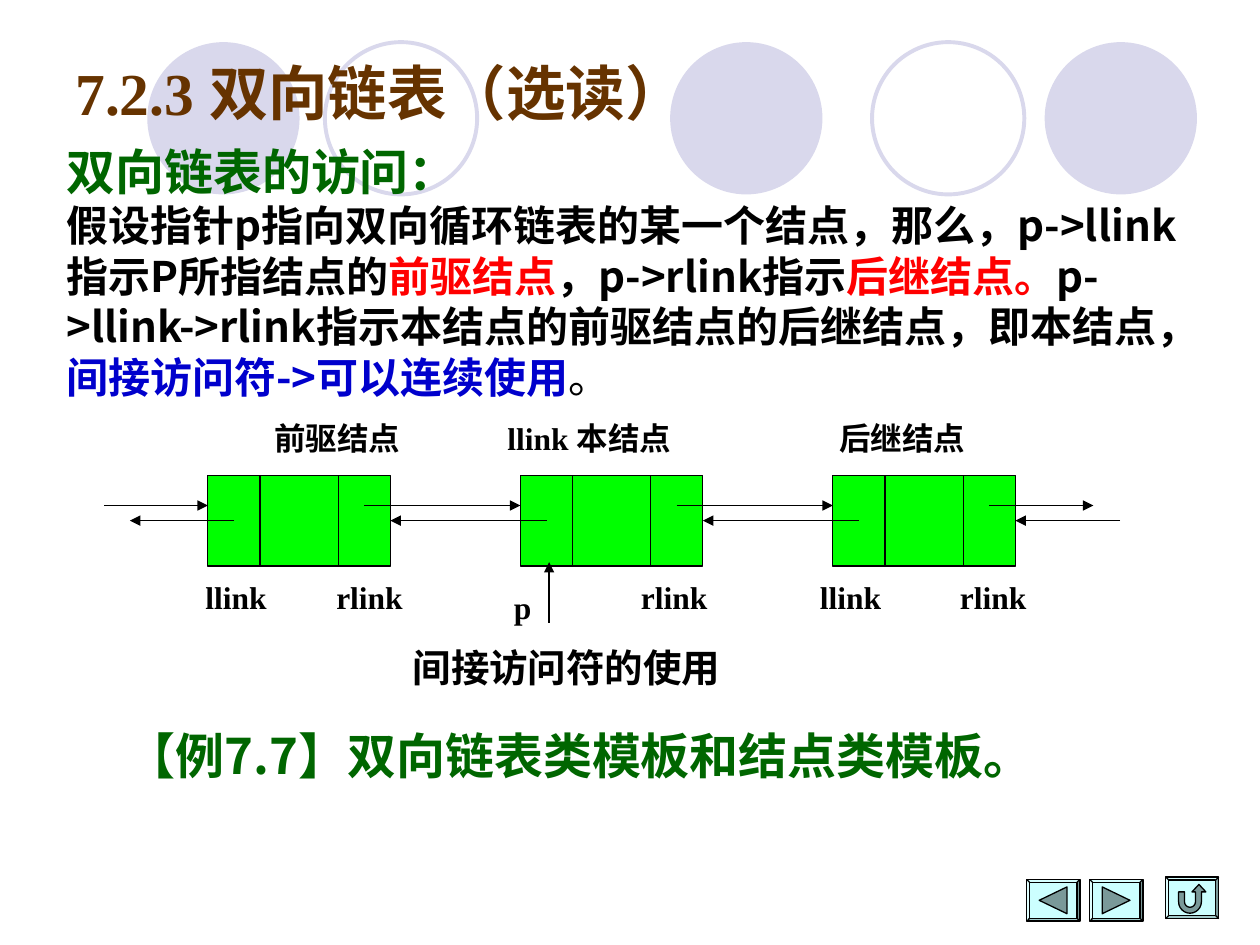
import math
from lxml import etree
from pptx import Presentation, util as u
from pptx.dml.color import RGBColor
from pptx.enum import shapes, text
from pptx.oxml.ns import qn

C = dict(lilac="D9D8EC", brown="663300", green="006600", black="000000", red="FF0000",
         blue="0000CC", node="00FF00", button="CCFFFF", icon="7A9999")
SERIF, SANS, CJK = "Times New Roman", "Arial", "Noto Sans CJK SC"

CIRCLES = [(2.97, True), (6.55, False), (13.51, True), (17.58, False), (21.06, True)]
BODY = [
    [("双向链表的访问：", dict(size=28, font=SANS, color="green"))],
    [("假设指针p指向双向循环链表的某一个结点，那么，p->llink指示P所指结点的", {}),
     ("前驱结点", dict(color="red")),
     ("，p->rlink指示", {}),
     ("后继结点。", dict(color="red")),
     ("p->llink->rlink指示本结点的前驱结点的后继结点，即本结点，", {}),
     ("间接访问符->可以连续使用", dict(color="blue")),
     ("。", dict(font=SANS, bold=False))],
]
LABELS = [
    ("前驱结点", 5.28, 8.32, 3.4), ("llink 本结点", 9.98, 8.32, 4.4), ("后继结点", 16.67, 8.32, 3.4),
    ("llink", 3.89, 11.53, 2.1), ("rlink", 6.53, 11.53, 2.1), ("p", 10.11, 11.73, 0.9),
    ("rlink", 12.67, 11.53, 2.1), ("llink", 16.28, 11.53, 2.1), ("rlink", 19.1, 11.53, 2.1),
]
NODE_X, NODE_Y, NODE_W, NODE_H, PITCH = 4.19, 9.58, 3.68, 1.83, 6.3
DIVIDERS = (1.05, 2.63)
NEXT_Y, NEXT_LINKS = 10.19, [(2.1, 4.19), (7.34, 10.49), (13.64, 16.79), (19.94, 22.04)]
PRIOR_STARTS, PRIOR_END = (11.02, 17.32, 22.58), (4.72, 2.62)
BUTTON_W, BUTTON_H = 1.07, 0.84
BUTTONS = [("back", 20.7, 17.73), ("forward", 21.97, 17.73), ("return", 23.5, 17.68)]

prs = Presentation()
prs.slide_width, prs.slide_height = u.Cm(25.4), u.Cm(19.05)
s = prs.slides.add_slide(prs.slide_layouts[6])


def rgb(name):
    return RGBColor.from_string(C[name])


def paint(sp, fill=None, line=None, width=0.75):
    sp.shadow.inherit = False
    if fill:
        sp.fill.solid()
        sp.fill.fore_color.rgb = rgb(fill)
    else:
        sp.fill.background()
    if line:
        sp.line.color.rgb = rgb(line)
        sp.line.width = u.Pt(width)
    else:
        sp.line.fill.background()
    return sp


def shape(kind, x, y, w, h, **look):
    return paint(s.shapes.add_shape(kind, u.Cm(x), u.Cm(y), u.Cm(w), u.Cm(h)), **look)


def write(content, x, y, w, h, size=18, font=SERIF, color="black", bold=True, middle=False, wrap=True):
    tf = s.shapes.add_textbox(u.Cm(x), u.Cm(y), u.Cm(w), u.Cm(h)).text_frame
    tf.word_wrap = wrap
    tf.vertical_anchor = text.MSO_ANCHOR.MIDDLE if middle else text.MSO_ANCHOR.TOP
    base = dict(size=size, font=font, color=color, bold=bold)
    paragraphs = [[(content, {})]] if isinstance(content, str) else content
    for i, runs in enumerate(paragraphs):
        p = tf.paragraphs[0] if i == 0 else tf.add_paragraph()
        p._p.get_or_add_pPr().set("hangingPunct", "0")
        for words, own in runs:
            r, f = p.add_run(), {**base, **own}
            r.text = words
            r.font.size, r.font.name, r.font.bold = u.Pt(f["size"]), f["font"], f["bold"]
            r.font.color.rgb = rgb(f["color"])


def line(x1, y1, x2, y2, arrow=True, target=None):
    c = s.shapes.add_connector(shapes.MSO_CONNECTOR.STRAIGHT, u.Cm(x1), u.Cm(y1), u.Cm(x2), u.Cm(y2))
    c.line.color.rgb, c.line.width = rgb("black"), u.Pt(0.75)
    if arrow:
        etree.SubElement(c.line._get_or_add_ln(), qn("a:tailEnd"), type="triangle")
    etree.SubElement(c._element.spPr, qn("a:effectLst"))
    if target is not None:
        c.end_connect(target, 3)


def outline(points):
    corners = [(u.Cm(x), u.Cm(y)) for x, y in points]
    fb = s.shapes.build_freeform(*corners[0])
    fb.add_line_segments(corners[1:], close=True)
    paint(fb.convert_to_shape(), fill="icon", line="black")


def arc(radius, start, end):
    turns = [math.radians(start + (end - start) * i / 12) for i in range(13)]
    return [(radius * math.cos(t), radius * math.sin(t)) for t in turns]


def icon(kind, x, y):
    if kind == "return":
        head = [(0.23, -0.2), (0.32, -0.2), (0.18, -0.35), (0.04, -0.2), (0.11, -0.2)]
        turn = [(-0.23, -0.2)] + arc(0.23, 180, 0) + head + arc(0.11, 0, 180) + [(-0.11, -0.2)]
        outline([(x + 0.49 + a, y + 0.5 + b) for a, b in turn])
    else:
        base, tip = (0.81, 0.25) if kind == "back" else (0.25, 0.81)
        outline([(x + base, y + 0.15), (x + tip, y + 0.42), (x + base, y + 0.69)])


for x, filled in CIRCLES:
    look = dict(fill="lilac") if filled else dict(line="lilac", width=2.25)
    shape(shapes.MSO_SHAPE.OVAL, x, 0.85, 3.07, 3.07, **look)

write("7.2.3 双向链表（选读）", 1.27, 0.76, 14.02, 2.16, size=34, color="brown", middle=True)
write(BODY, 1.09, 2.72, 23.39, 5.51, size=24, font=CJK)

nodes = [shape(shapes.MSO_SHAPE.RECTANGLE, NODE_X + i * PITCH, NODE_Y, NODE_W, NODE_H,
               fill="node", line="black") for i in range(3)]
for i in range(3):
    for d in DIVIDERS:
        x = NODE_X + i * PITCH + d
        line(x, NODE_Y, x, NODE_Y + NODE_H, arrow=False)
for start, end in NEXT_LINKS:
    line(start, NEXT_Y, end, NEXT_Y)
middle_y = NODE_Y + NODE_H / 2
line(PRIOR_END[0], middle_y, PRIOR_END[1], middle_y)
for node, start in zip(nodes, PRIOR_STARTS):
    line(start, middle_y, start - 3, middle_y, target=node)
line(11.07, 12.55, 11.07, 11.33)

for words, x, y, w in LABELS:
    write(words, x, y, w, 1)
write("间接访问符的使用", 8.07, 12.85, 6.7, 1.19, size=22, font=SANS, wrap=False)
write("【例7.7】双向链表类模板和结点类模板。", 2.31, 14.5, 19.53, 1.45, size=28, font=CJK,
      color="green", wrap=False)

for kind, x, y in BUTTONS:
    bevel = shape(shapes.MSO_SHAPE.BEVEL, x, y, BUTTON_W, BUTTON_H, fill="button", line="black")
    bevel.adjustments[0] = 0.07
    icon(kind, x, y)

prs.save("out.pptx")
